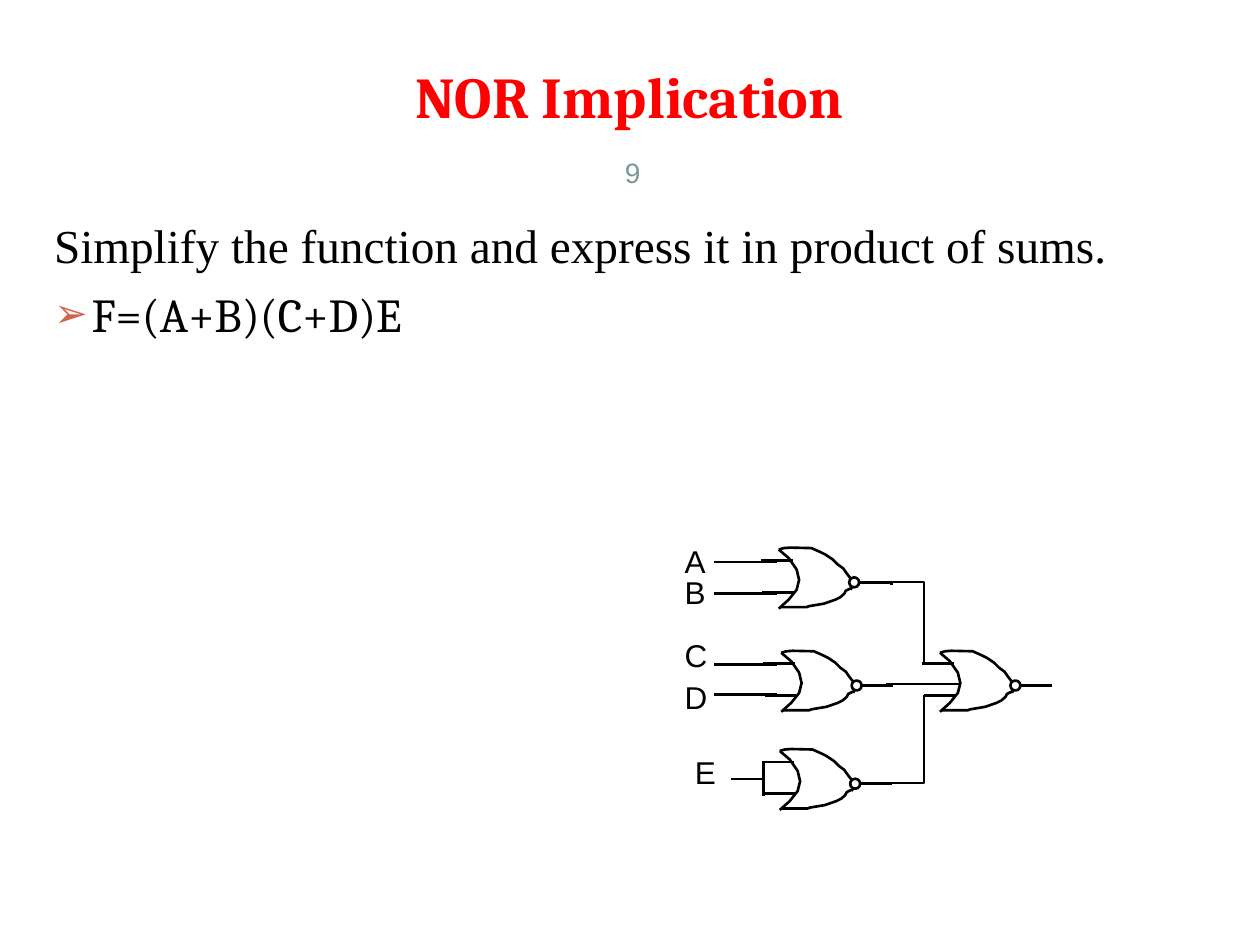
from lxml import etree
from pptx import Presentation
from pptx.dml.color import RGBColor
from pptx.enum.shapes import MSO_CONNECTOR, MSO_SHAPE
from pptx.enum.text import MSO_ANCHOR, PP_ALIGN
from pptx.oxml.ns import qn
from pptx.util import Cm, Pt

STRAIGHT, ELBOW = MSO_CONNECTOR.STRAIGHT, MSO_CONNECTOR.ELBOW
OVAL = MSO_SHAPE.OVAL
TOP, MIDDLE, BOTTOM = MSO_ANCHOR.TOP, MSO_ANCHOR.MIDDLE, MSO_ANCHOR.BOTTOM
LEFT, CENTER = PP_ALIGN.LEFT, PP_ALIGN.CENTER
BLACK, WHITE, RED, TEAL, RUST = "000000", "FFFFFF", "FF0000", "7B9899", "D16349"


def rgb(color):
    return RGBColor.from_string(color)


def add_text(box, lines, color=BLACK, align=LEFT, anchor=TOP):
    tf = s.shapes.add_textbox(*map(Cm, box)).text_frame
    tf.word_wrap = True
    tf.vertical_anchor = anchor
    for i, (text, fmt) in enumerate(lines):
        p = tf.add_paragraph() if i else tf.paragraphs[0]
        p.alignment = align
        r = p.add_run()
        r.text = text
        for name, value in fmt.items():
            setattr(r.font, name, value)
        r.font.color.rgb = rgb(color)
    return tf


prs = Presentation()
prs.slide_width, prs.slide_height = Cm(25.4), Cm(19.05)
s = prs.slides.add_slide(prs.slide_layouts[6])

title_font = {"name": "Cambria", "size": Pt(33), "bold": True}
add_text((0.84, 0.64, 23.7, 2.11), [("NOR Implication", title_font)], RED, CENTER, BOTTOM)

body = add_text((0.84, 4.24, 23.62, 12.7), [
    ("Simplify the function and express it in product of sums.",
     {"name": "Times New Roman", "size": Pt(27)}),
    ("F=(A+B)(C+D)E", {"name": "Cambria", "size": Pt(27)}),
])
for p in body.paragraphs:
    pPr = p._p.get_or_add_pPr()
    pPr.set("marL", str(Cm(0.76)))
    pPr.set("indent", str(-Cm(0.76)))
p.space_before = Pt(6.8)
bullet_color = etree.SubElement(pPr, qn("a:buClr"))
etree.SubElement(bullet_color, qn("a:srgbClr"), val=RUST)
etree.SubElement(pPr, qn("a:buSzPct"), val="85000")
etree.SubElement(pPr, qn("a:buFont"), typeface="Arial")
etree.SubElement(pPr, qn("a:buChar"), char="➢")

label_font = {"name": "Arial", "size": Pt(18)}
labels = [("A", 13.55, 10.8), ("B", 13.55, 11.43), ("C", 13.55, 12.7),
          ("D", 13.55, 13.55), ("E", 13.76, 15.06)]
for text, x, y in labels:
    add_text((x, y, 0.84, 1.02), [(text, label_font)])

gates = [(15.7, 11), (18.95, 13.08), (15.75, 13.08), (15.72, 15.06)]
gate_curves = [
    [(0, 0.08), (0.2, 0.25), (0.36, 0.48), (0.41, 0.69), (0.36, 0.89), (0.2, 1.09), (0, 1.27)],
    [(0, 0.08), (0.1, 0.05), (0.23, 0.04), (0.66, 0.05), (0.84, 0.13), (0.94, 0.18),
     (1.09, 0.28), (1.19, 0.38), (1.3, 0.46), (1.37, 0.56), (1.47, 0.69), (1.52, 0.74),
     (1.45, 0.89)],
    [(0.03, 1.24), (0.56, 1.24), (0.61, 1.22), (0.91, 1.17), (1.14, 1.09), (1.24, 1.04),
     (1.32, 0.97), (1.35, 0.91), (1.45, 0.86)],
]
gate_pins = [(-0.36, 0.3, 0.28, 0.3), (-0.33, 0.94, 0.3, 0.94), (1.63, 0.74, 2.26, 0.74)]
wires = [(14.4, y, 15.67, y) for y in (11.33, 11.96, 13.39, 14)]
wires += [(17.86, 13.79, 19.38, 13.79), (15.39, 15.37, 15.39, 16.05), (14.73, 15.7, 15.39, 15.7)]

for gx, gy in gates:
    for curve in gate_curves:
        points = [(Cm(gx + x), Cm(gy + y)) for x, y in curve]
        fb = s.shapes.build_freeform(*points[0])
        fb.add_line_segments(points[1:], close=False)
        sp = fb.convert_to_shape()
        sp.shadow.inherit = False
        sp.fill.background()
        sp.line.color.rgb = rgb(BLACK)
        sp.line.width = Pt(1.5)
    sp = s.shapes.add_shape(OVAL, Cm(gx + 1.42), Cm(gy + 0.64), Cm(0.2), Cm(0.2))
    sp.shadow.inherit = False
    sp.fill.solid()
    sp.fill.fore_color.rgb = rgb(WHITE)
    sp.line.color.rgb = rgb(BLACK)
    sp.line.width = Pt(1.5)
    wires += [(gx + x1, gy + y1, gx + x2, gy + y2) for x1, y1, x2, y2 in gate_pins]

connectors = [s.shapes.add_connector(STRAIGHT, *map(Cm, wire)) for wire in wires]

elbows = [
    ((17.5, 12.27, 19.1, 12.93), {"rot": "16200000", "flipH": "1"}, -4400),
    ((17.42, 14.58, 19.2, 15.22), {"rot": "5400000", "flipH": "1", "flipV": "1"}, 200),
]
for ends, turn, adj in elbows:
    c = s.shapes.add_connector(ELBOW, *map(Cm, ends))
    spPr = c._element.spPr
    for name, value in turn.items():
        spPr.find(qn("a:xfrm")).set(name, value)
    avLst = spPr.find(qn("a:prstGeom")).find(qn("a:avLst"))
    etree.SubElement(avLst, qn("a:gd"), name="adj1", fmla=f"val {adj}")
    connectors.append(c)

for c in connectors:
    c.line.color.rgb = rgb(BLACK)
    c.line.width = Pt(1.5)
    etree.SubElement(c._element.spPr, qn("a:effectLst"))

number_font = {"name": "Arial", "size": Pt(16)}
add_text((12.12, 2.86, 1.27, 1.22), [("9", number_font)], TEAL, CENTER, MIDDLE)

prs.save("out.pptx")
